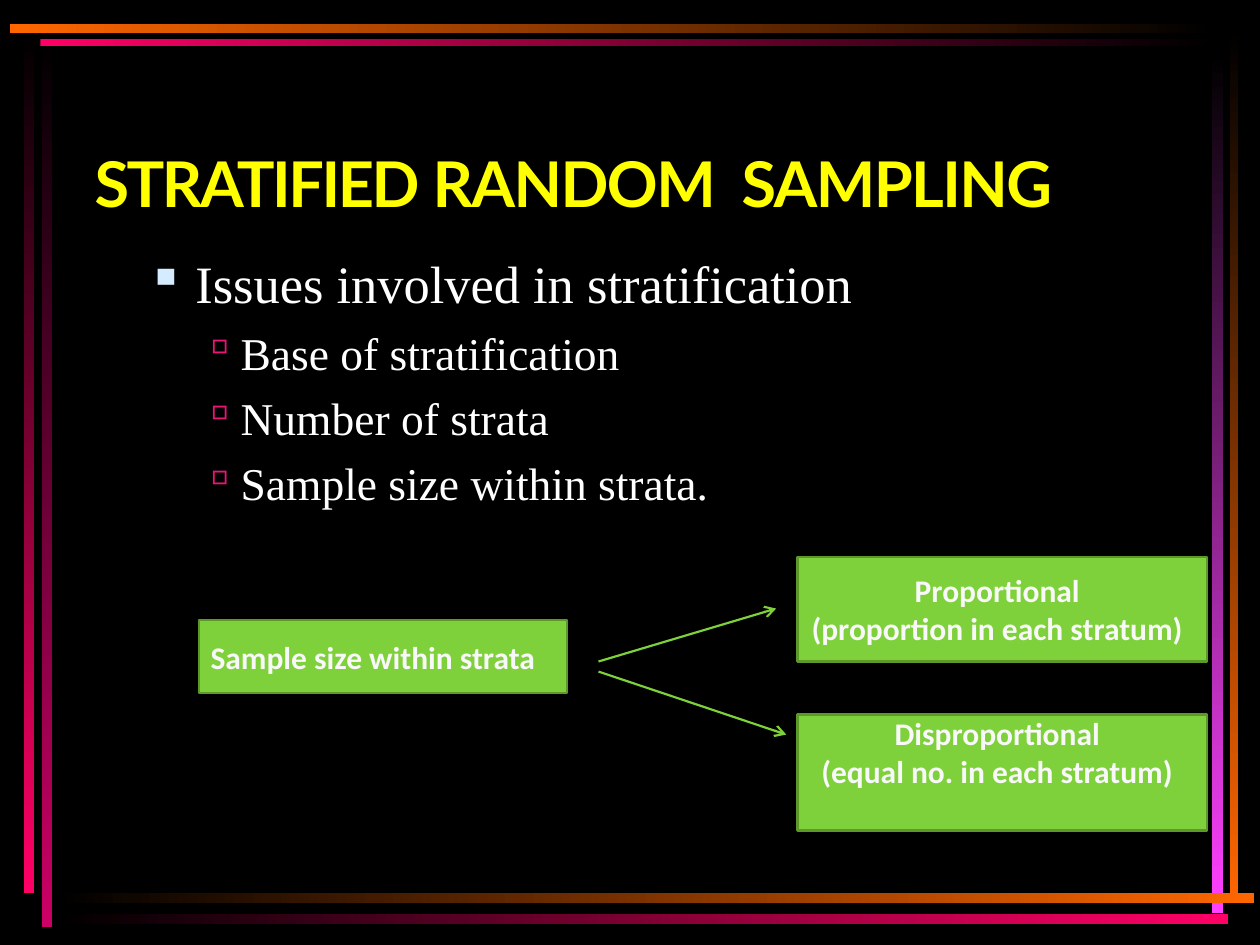
"""Build the stratified random sampling slide."""
from lxml.etree import SubElement
from pptx import Presentation
from pptx.dml.color import RGBColor
from pptx.enum.shapes import MSO_CONNECTOR, MSO_SHAPE
from pptx.enum.text import MSO_ANCHOR, MSO_AUTO_SIZE, PP_ALIGN
from pptx.oxml.ns import qn
from pptx.util import Inches, Pt

BLACK = RGBColor(0x00, 0x00, 0x00)
WHITE = RGBColor(0xFF, 0xFF, 0xFF)
PALE = RGBColor(0xF8, 0xF8, 0xF8)
YELLOW = RGBColor(0xFF, 0xFF, 0x00)
ORANGE = RGBColor(0xFF, 0x66, 0x00)
PINK = RGBColor(0xFF, 0x00, 0x66)
ROSE = RGBColor(0xCC, 0x00, 0x66)
VIOLET = RGBColor(0xFF, 0x41, 0xFF)
GREEN = RGBColor(0x7E, 0xD1, 0x3A)
MOSS = RGBColor(0x5C, 0x99, 0x29)


def add_rect(left, top, width, height):
    rect = slide.shapes.add_shape(
        MSO_SHAPE.RECTANGLE, Inches(left), Inches(top), Inches(width), Inches(height))
    rect.shadow.inherit = False
    return rect


def set_frame(frame, anchor, top=0, right=0):
    frame.word_wrap = True
    frame.auto_size = MSO_AUTO_SIZE.NONE
    frame.vertical_anchor = anchor
    frame.margin_left = frame.margin_bottom = 0
    frame.margin_top, frame.margin_right = Inches(top), Inches(right)


deck = Presentation()
deck.slide_width, deck.slide_height = Inches(10), Inches(7.5)
slide = deck.slides.add_slide(deck.slide_layouts[5])
slide.background.fill.solid()
slide.background.fill.fore_color.rgb = BLACK

bars = [
    (0.33, 0.28, 0.08, 7.08, BLACK, ROSE),
    (0.19, 0.25, 0.08, 6.84, BLACK, PINK),
    (9.76, 0.24, 0.07, 6.93, BLACK, ORANGE),
    (9.62, 0.42, 0.09, 6.83, BLACK, VIOLET),
    (0.45, 7.09, 9.5, 0.08, BLACK, ORANGE),
    (0.45, 7.25, 9.3, 0.08, BLACK, PINK),
    (0.32, 0.31, 9.32, 0.06, PINK, BLACK),
    (0.08, 0.19, 9.56, 0.07, ORANGE, BLACK),
]
for left, top, width, height, start, end in bars:
    bar = add_rect(left, top, width, height)
    bar.line.fill.background()
    bar.fill.gradient()
    bar.fill.gradient_angle = 270 if height > width else 0
    for stop, color in zip(bar.fill.gradient_stops, (start, end)):
        stop.color.rgb = color

title = slide.shapes.title
title.left, title.top = Inches(0.75), Inches(1.13)
title.width, title.height = Inches(8.5), Inches(0.62)
set_frame(title.text_frame, MSO_ANCHOR.BOTTOM, 0.01)
head = title.text_frame.paragraphs[0]
head.alignment = PP_ALIGN.LEFT
head.font.name, head.font.size, head.font.bold = "Lato", Pt(36), True
head.font.color.rgb = YELLOW
for text, gap in [("STRATIFIED ", -140), ("RANDOM  SAMPLING", -90)]:
    run = head.add_run()
    run.text = text
    run._r.get_or_add_rPr().set("spc", str(gap))

body = slide.shapes.add_textbox(Inches(1.16), Inches(1.87), Inches(5.62), Inches(2.19))
set_frame(body.text_frame, MSO_ANCHOR.TOP, 0.12)
styles = [(30, 8.3, 0.39, -0.38, "▪", "D5EBFF", 95),
          (26, 6.2, 0.75, -0.31, "▫", "EA1579", 90)]
items = [("Issues involved in stratification", 0), ("Base of stratification", 1),
         ("Number of strata", 1), ("Sample size within strata.", 1)]
body.text_frame.text = "\n".join(text for text, level in items)
for para, (text, level) in zip(body.text_frame.paragraphs, items):
    size, space, margin, indent, mark, tint, scale = styles[level]
    para.level = level
    para.space_before = Pt(space)
    para.font.name, para.font.size = "Times New Roman", Pt(size)
    para.font.color.rgb = WHITE
    props = para._p.get_or_add_pPr()
    props.set("marL", str(Inches(margin)))
    props.set("indent", str(Inches(indent)))
    bullet = [SubElement(props, qn("a:" + tag)) for tag in ("buClr", "buSzPct", "buChar")]
    SubElement(bullet[0], qn("a:srgbClr")).set("val", tint)
    bullet[1].set("val", str(scale * 1000))
    bullet[2].set("char", mark)
    props.extend(props.findall(qn("a:defRPr")))

boxes = [
    (1.58, 4.92, 2.92, 0.58, MSO_ANCHOR.MIDDLE, 0.16, "Sample size within strata"),
    (6.33, 4.42, 3.25, 0.83, MSO_ANCHOR.MIDDLE, 0.08,
     "Proportional\v(proportion in each stratum)"),
    (6.33, 5.67, 3.25, 0.92, MSO_ANCHOR.TOP, 0.08,
     "Disproportional\v(equal no. in each stratum)"),
]
for left, top, width, height, anchor, right, text in boxes:
    box = add_rect(left, top, width, height)
    box.fill.solid()
    box.fill.fore_color.rgb = GREEN
    box.line.color.rgb = MOSS
    box.line.width = Pt(1.56)
    set_frame(box.text_frame, anchor, right=right)
    para = box.text_frame.paragraphs[0]
    para.text = text
    para.alignment = PP_ALIGN.CENTER
    para.font.name, para.font.size, para.font.bold = "Calibri", Pt(18), True
    para.font.color.rgb = PALE

for ends in [(4.75, 5.25, 6.16, 4.83), (4.75, 5.33, 6.24, 5.83)]:
    arrow = slide.shapes.add_connector(MSO_CONNECTOR.STRAIGHT, *map(Inches, ends))
    arrow.line.color.rgb = GREEN
    arrow.line.width = Pt(1.25)
    tip = SubElement(arrow.line._get_or_add_ln(), qn("a:tailEnd"))
    tip.set("type", "arrow")
    SubElement(arrow._element.spPr, qn("a:effectLst"))

deck.save("out.pptx")
